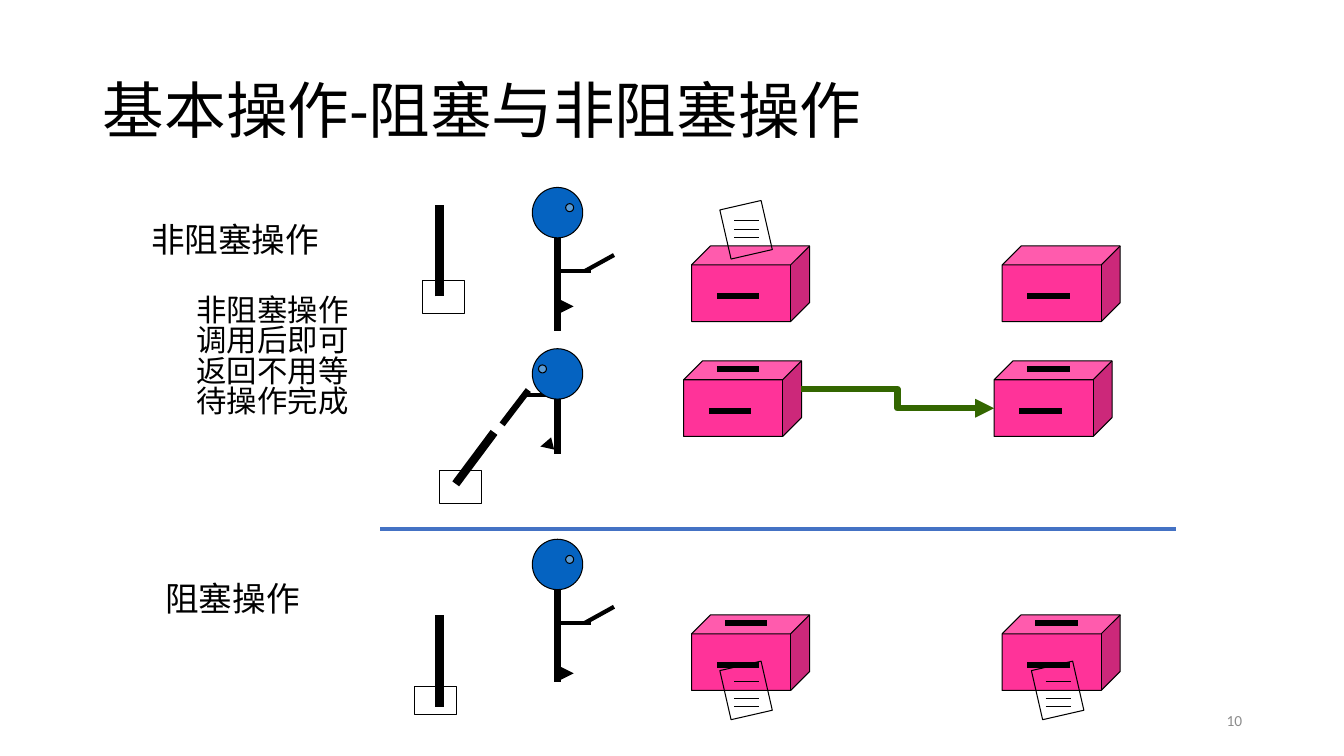
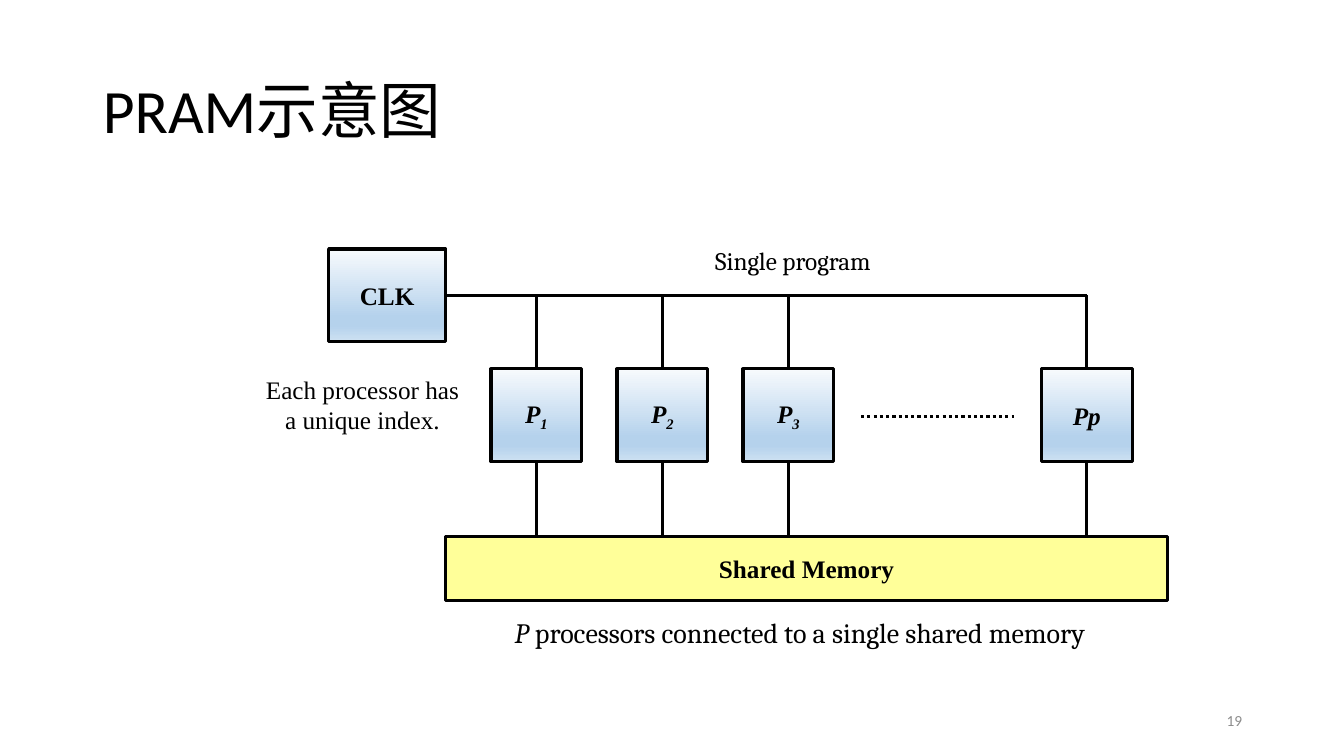
from copy import deepcopy
from dataclasses import dataclass

from lxml.etree import SubElement
from pptx import Presentation
from pptx.dml.color import RGBColor
from pptx.enum.dml import MSO_LINE
from pptx.enum.shapes import MSO_CONNECTOR, MSO_SHAPE
from pptx.enum.text import MSO_ANCHOR, PP_ALIGN
from pptx.oxml.ns import qn
from pptx.util import Inches, Pt


@dataclass(frozen=True)
class Type:
    font: str
    size: float
    color: str = "000000"
    bold: bool = False
    italic: bool = False


@dataclass(frozen=True)
class Theme:
    ink: str = "000000"
    head: str = "0563C1"
    eye: str = "5B9BD5"
    pink: str = "FF3399"
    green: str = "336600"
    rule: str = "4472C4"
    yellow: str = "FFFF99"
    blend: tuple = ((0, "F7FAFD"), (0.74, "B5D2EC"), (0.83, "B5D2EC"), (1, "CEE1F2"))
    title: Type = Type("Calibri", 44)
    label: Type = Type("Calibri", 24)
    body: Type = Type("Calibri", 21.7)
    number: Type = Type("Calibri", 11, "8C8C8C")
    unit: Type = Type("Times New Roman", 18, bold=True)
    index: Type = Type("Times New Roman", 18, bold=True, italic=True)
    note: Type = Type("Times New Roman", 18)
    program: Type = Type("Cambria", 18)
    caption: Type = Type("Cambria", 20)


THEME = Theme()


def rgb(code):
    return RGBColor.from_string(code)


class Deck:
    def __init__(self):
        self.show = Presentation()
        self.show.slide_width = Inches(13.33)
        self.show.slide_height = Inches(7.5)
        self.slide = None

    def start(self, title, number):
        """Add a slide with its title and page number."""
        self.slide = self.show.slides.add_slide(self.show.slide_layouts[5])
        box = self.slide.shapes.title
        box.left, box.top = Inches(0.92), Inches(0.4)
        box.width, box.height = Inches(11.5), Inches(1.45)
        self.fill_in(box, [title], THEME.title, PP_ALIGN.LEFT, MSO_ANCHOR.MIDDLE, space=0.9)
        self.text((9.42, 6.95, 3, 0.4), [str(number)], THEME.number,
                  PP_ALIGN.RIGHT, MSO_ANCHOR.MIDDLE)

    def fill_in(self, box, lines, kind, align=PP_ALIGN.LEFT,
                anchor=MSO_ANCHOR.TOP, wrap=True, space=None):
        """Put text in a box; a line is a string or a list of (text, run style) pairs."""
        frame = box.text_frame
        frame.word_wrap, frame.vertical_anchor = wrap, anchor
        for n, line in enumerate(lines):
            para = frame.add_paragraph() if n else frame.paragraphs[0]
            para.alignment = align
            if space:
                para.line_spacing = space
            font = para.font
            font.name, font.size = kind.font, Pt(kind.size)
            font.bold, font.italic = kind.bold, kind.italic
            font.color.rgb = rgb(kind.color)
            for words, style in [(line, "")] if isinstance(line, str) else line:
                run = para.add_run()
                run.text = words
                if style == "italic":
                    run.font.italic = True
                elif style == "sub":
                    run._r.get_or_add_rPr().set("baseline", "-25000")

    def text(self, at, lines, kind, *args, **more):
        box = self.slide.shapes.add_textbox(*map(Inches, at))
        self.fill_in(box, lines, kind, *args, **more)

    def shape(self, form, at, fill=None, width=0.75, turn=0):
        item = self.slide.shapes.add_shape(form, *map(Inches, at))
        item.shadow.inherit = False
        item.rotation = turn
        item.line.color.rgb = rgb(THEME.ink)
        item.line.width = Pt(width)
        if fill:
            item.fill.solid()
            item.fill.fore_color.rgb = rgb(fill)
        else:
            item.fill.background()
        return item

    def block(self, at, line, kind, fill=None):
        """Add a labelled box, shaded with the blend unless a fill is given."""
        box = self.shape(MSO_SHAPE.RECTANGLE, at, fill, 2.25)
        if not fill:
            box.fill.gradient()
            box.fill.gradient_angle = 270
            stops = box.element.spPr.find(".//" + qn("a:gsLst"))
            while len(stops) < len(THEME.blend):
                stops.append(deepcopy(stops[0]))
            for stop, (place, color) in zip(box.fill.gradient_stops, THEME.blend):
                stop.position = place
                stop.color.rgb = rgb(color)
        self.fill_in(box, [line], kind, PP_ALIGN.CENTER, MSO_ANCHOR.MIDDLE, wrap=False)

    def line(self, x1, y1, x2, y2, width, color=THEME.ink, arrow=False,
             dash=None, form=MSO_CONNECTOR.STRAIGHT):
        item = self.slide.shapes.add_connector(form, *map(Inches, (x1, y1, x2, y2)))
        item.line.color.rgb = rgb(color)
        item.line.width = Pt(width)
        if dash:
            item.line.dash_style = dash
        if arrow:
            SubElement(item.line._get_or_add_ln(), qn("a:tailEnd"), type="triangle")
        SubElement(item.element.spPr, qn("a:effectLst"))

    def person(self, top, eye, leg, foot, arms):
        """Draw a figure; x offsets are from the body, y offsets from the head's top."""
        x = 5.53
        self.line(x, top + 0.5, x, top + leg, 4.5)
        for (x1, y1, x2, y2), width, arrow in [(foot, 3, True)] + arms:
            self.line(x + x1, top + y1, x + x2, top + y2, width, arrow=arrow)
        self.shape(MSO_SHAPE.OVAL, (x - 0.25, top, 0.5, 0.5), THEME.head)
        self.shape(MSO_SHAPE.OVAL, (x + eye, top + 0.16, 0.08, 0.08), THEME.eye)

    def stand(self, top, foot):
        arms = [((0, 0.83, 0.33, 0.83), 3, False), ((0.27, 0.83, 0.56, 0.67), 3, False)]
        self.person(top, 0.08, 1.42, (0.08, foot, 0.16, foot), arms)

    def mailbox(self, x, y, lid=True):
        self.shape(MSO_SHAPE.CUBE, (x, y, 1.17, 0.75), THEME.pink)
        self.line(x + 0.25, y + 0.5, x + 0.67, y + 0.5, 4.5)
        if lid:
            self.line(x + 0.33, y + 0.08, x + 0.75, y + 0.08, 4.5)

    def letter(self, x, y, rows):
        self.shape(MSO_SHAPE.RECTANGLE, (x, y, 0.42, 0.5), turn=347.1)
        for row in rows:
            self.line(x + 0.09, y + row, x + 0.34, y + row, 0.75)

    def lever(self, rod, base):
        self.line(*rod, 6)
        self.shape(MSO_SHAPE.RECTANGLE, base)


def blocking(deck):
    deck.start("基本操作-阻塞与非阻塞操作", 10)
    deck.text((1.4, 2.12, 2.1, 0.5), ["非阻塞操作"], THEME.label)
    deck.text((1.85, 2.9, 1.8, 1.86), ["非阻塞操作调用后即可返回不用等待操作完成"],
              THEME.body, space=0.83)
    deck.text((1.54, 5.68, 2.06, 0.5), ["阻塞操作"], THEME.label)

    deck.stand(1.86, 1.18)
    deck.person(3.46, -0.19, 1.04, (-0.09, 0.95, -0.17, 0.97),
                [((-0.34, 0.46, 0, 0.46), 3, False),
                 ((-0.55, 0.75, -0.29, 0.41), 4.5, False)])
    deck.stand(5.35, 1.33)

    deck.lever((4.36, 2.94, 4.36, 2.03), (4.19, 2.78, 0.42, 0.33))
    deck.lever((4.52, 4.8, 4.9, 4.29), (4.36, 4.67, 0.42, 0.33))
    deck.lever((4.36, 7.01, 4.36, 6.1), (4.11, 6.81, 0.42, 0.28))

    for x, y, lid in ((6.86, 2.44, False), (6.78, 3.58, True), (6.86, 6.1, True)):
        for shift in (0, 3.08):
            deck.mailbox(x + shift, y, lid)
    deck.letter(7.19, 2.03, (0.16, 0.25, 0.33))
    for x in (7.19, 10.28):
        deck.letter(x, 6.6, (0.16, 0.33, 0.41))
    deck.line(7.94, 3.86, 9.86, 4.05, 4.5, THEME.green, True, form=MSO_CONNECTOR.ELBOW)
    deck.line(3.77, 5.25, 11.66, 5.25, 2.75, THEME.rule)


def pram(deck):
    deck.start("PRAM示意图", 19)
    bus, top, high, store = 2.93, 3.66, 0.92, 5.32
    units = [(5.32 + 1.25 * n, [("P", ""), (str(n + 1), "sub")]) for n in range(3)]
    for x, name in units + [(10.78, "Pp")]:
        deck.line(x, bus, x, top, 2.25)
        deck.line(x, top + high, x, store, 2.25)
        deck.block((x - 0.45, top, 0.9, high), name, THEME.index)
    deck.line(8.54, 4.13, 10.06, 4.13, 2.25, dash=MSO_LINE.ROUND_DOT)
    deck.line(4.42, bus, 10.78, bus, 2.25)
    deck.block((3.26, 2.47, 1.16, high), "CLK", THEME.unit)
    deck.block((4.42, store, 7.16, 0.64), "Shared Memory", THEME.unit, THEME.yellow)

    mid = PP_ALIGN.CENTER
    deck.text((4.51, 2.38, 6.71, 0.4), ["Single program"], THEME.program, mid)
    deck.text((1.92, 3.66, 3.35, 0.71), ["Each processor has", "a unique index."],
              THEME.note, mid)
    deck.text((4.72, 6.06, 6.43, 0.44),
              [[("P", "italic"), (" processors connected to a single shared memory", "")]],
              THEME.caption, mid, wrap=False)


def main():
    deck = Deck()
    blocking(deck)
    pram(deck)
    deck.show.save("out.pptx")


if __name__ == "__main__":
    main()
